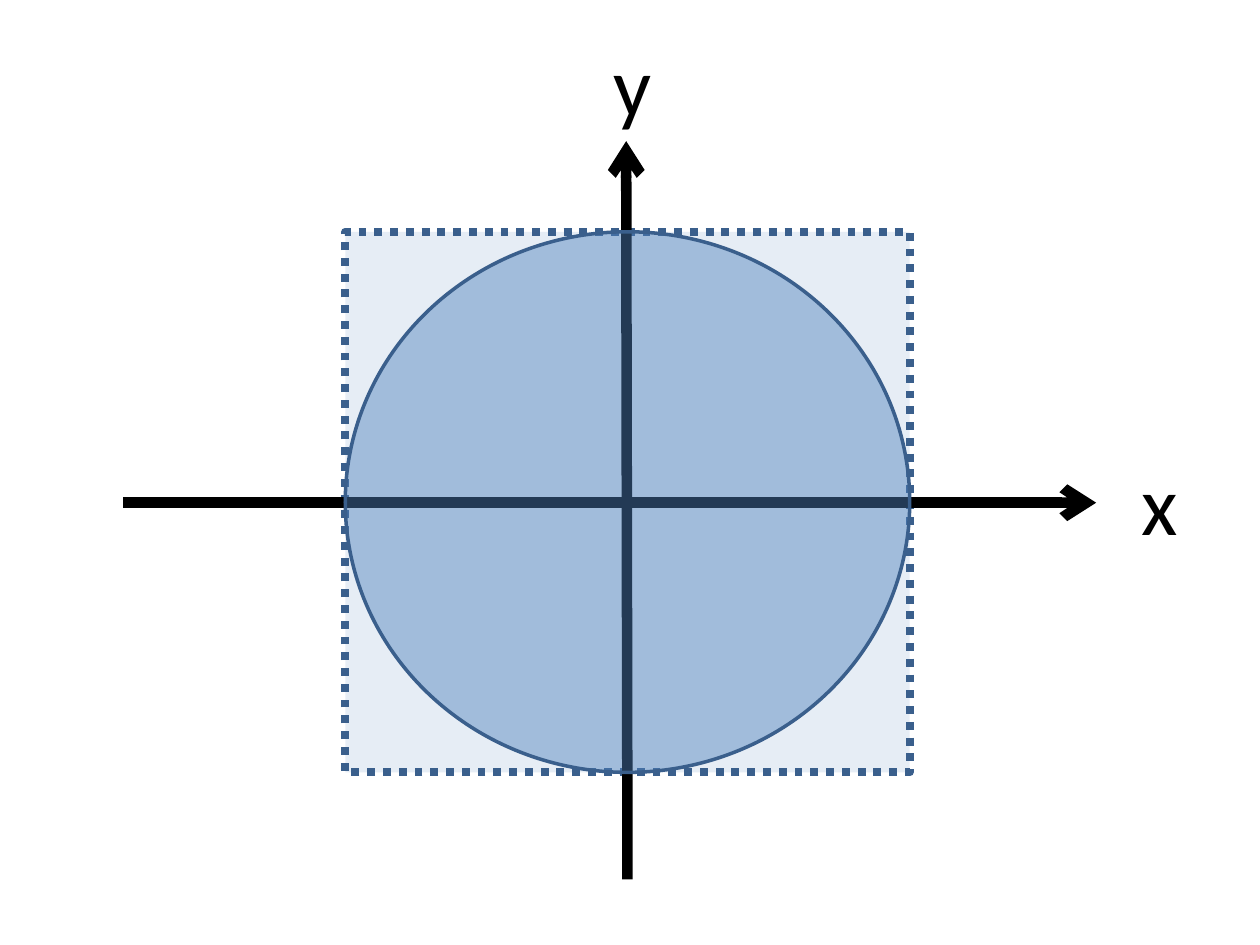
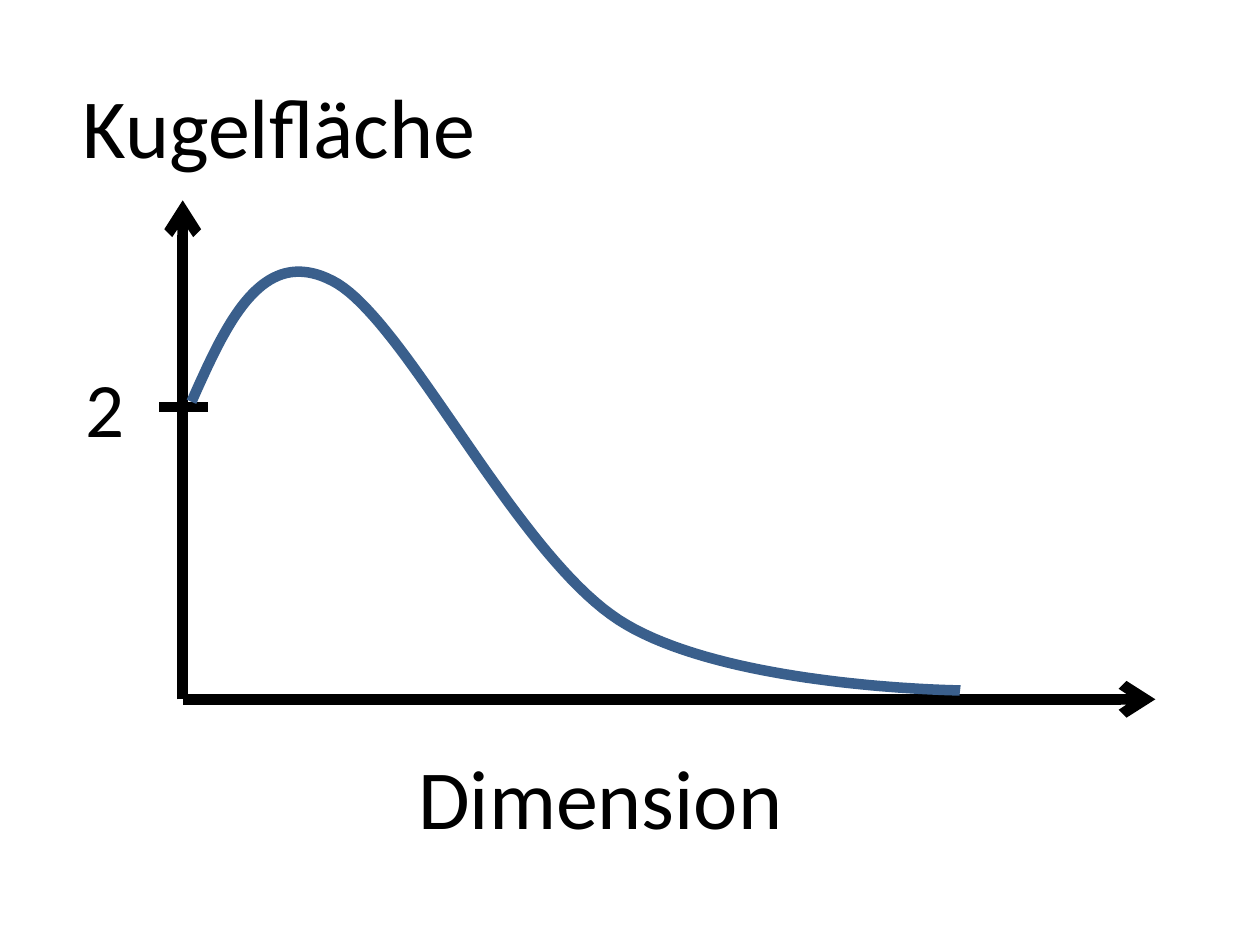
import dataclasses

import lxml.etree
import pptx
import pptx.dml.color
import pptx.enum.dml
import pptx.enum.shapes
import pptx.enum.text
import pptx.oxml.ns
import pptx.util


@dataclasses.dataclass(frozen=True)
class Theme:
    """Colours, font, type sizes and line widths, in points."""
    ink: str = "000000"
    blue: str = "4F81BD"
    outline: str = "3A5F8C"
    font: str = "Calibri"
    label_size: int = 48
    tick_size: int = 44
    heavy: float = 6
    dotted: float = 4.5
    thin: float = 2


def colour(code):
    """Return the RGB colour for a hex code."""
    return pptx.dml.color.RGBColor.from_string(code)


def add_child(parent, tag, **attributes):
    """Append a drawing element to a parent element."""
    return lxml.etree.SubElement(parent, pptx.oxml.ns.qn(tag), attributes)


def write_text(frame, text, *, font, size, color):
    """Put one formatted run of text into an unwrapped frame."""
    frame.word_wrap = False
    frame.auto_size = pptx.enum.text.MSO_AUTO_SIZE.SHAPE_TO_FIT_TEXT
    run = frame.paragraphs[0].add_run()
    run.text = text
    run.font.name = font
    run.font.size = pptx.util.Pt(size)
    run.font.color.rgb = colour(color)


def bezier_points(start, segments, steps=40):
    """Sample a chain of cubic curves at equal parameter steps."""
    points = [start]
    for first, second, end in segments:
        for step in range(1, steps + 1):
            t = step / steps
            weights = ((1 - t) ** 3, 3 * t * (1 - t) ** 2, 3 * t ** 2 * (1 - t), t ** 3)
            controls = (start, first, second, end)
            points.append(tuple(sum(weight * control[axis] for weight, control in zip(weights, controls))
                                for axis in (0, 1)))
        start = end
    return points


class Sketch:
    """Draws on the current slide, with lengths in percent of the slide's size."""

    def __init__(self, theme):
        """Open a presentation with the given theme."""
        self.theme = theme
        self.presentation = pptx.Presentation()
        self.presentation.slide_width = pptx.util.Inches(10)
        self.presentation.slide_height = pptx.util.Inches(7.5)
        self.slide = None

    def new_slide(self):
        """Start a blank slide."""
        self.slide = self.presentation.slides.add_slide(self.presentation.slide_layouts[6])

    def place(self, *shares):
        """Turn alternating horizontal and vertical shares into lengths."""
        sizes = (self.presentation.slide_width, self.presentation.slide_height)
        return [round(share * sizes[index % 2] / 100) for index, share in enumerate(shares)]

    def stroke(self, shape, color, width):
        """Set the line of a shape."""
        shape.line.color.rgb = colour(color)
        shape.line.width = pptx.util.Pt(width)

    def area(self, kind, box, opacity, width, dash=None):
        """Add a translucent blue shape."""
        shape = self.slide.shapes.add_shape(kind, *self.place(*box))
        shape.shadow.inherit = False
        shape.fill.solid()
        shape.fill.fore_color.rgb = colour(self.theme.blue)
        fill_color = shape.element.spPr.find(".//" + pptx.oxml.ns.qn("a:srgbClr"))
        add_child(fill_color, "a:alpha", val=str(opacity * 1000))
        self.stroke(shape, self.theme.outline, width)
        if dash:
            shape.line.dash_style = dash

    def line(self, start, end, arrow=True):
        """Add a heavy straight line, with an arrowhead at its end by default."""
        connector = self.slide.shapes.add_connector(
            pptx.enum.shapes.MSO_CONNECTOR.STRAIGHT, *self.place(*start, *end))
        self.stroke(connector, self.theme.ink, self.theme.heavy)
        properties = connector.element.spPr
        if arrow:
            add_child(properties.find(pptx.oxml.ns.qn("a:ln")), "a:tailEnd", type="arrow")
        add_child(properties, "a:effectLst")

    def label(self, text, box, size=None):
        """Add a one-line label."""
        shape = self.slide.shapes.add_textbox(*self.place(*box))
        write_text(shape.text_frame, text, font=self.theme.font,
                   size=size or self.theme.label_size, color=self.theme.ink)

    def curve(self, start, segments):
        """Add an open smooth curve."""
        points = [self.place(*point) for point in bezier_points(start, segments)]
        builder = self.slide.shapes.build_freeform(*points[0])
        builder.add_line_segments(points[1:], close=False)
        shape = builder.convert_to_shape()
        shape.shadow.inherit = False
        shape.fill.background()
        self.stroke(shape, self.theme.outline, self.theme.heavy)


def draw_circle_in_square(sketch):
    """Draw the unit circle inside its bounding square."""
    theme = sketch.theme
    shapes = pptx.enum.shapes.MSO_SHAPE
    square = (27.4, 24.53, 44.8, 57.2)
    sketch.new_slide()
    sketch.area(shapes.RECTANGLE, square, 14, theme.dotted, pptx.enum.dml.MSO_LINE.ROUND_DOT)
    sketch.line((49.8, 93.07), (49.7, 14.93))
    sketch.label("x", (89.6, 47.07, 4.9, 12.13))
    sketch.line((9.8, 53.2), (87, 53.2))
    sketch.label("y", (47.7, 2.8, 5.1, 12.13))
    sketch.area(shapes.OVAL, square, 45, theme.thin)


def draw_surface_by_dimension(sketch):
    """Draw the sphere's surface as a function of dimension."""
    origin = (14.5, 74)
    tick_height = 43.07
    sketch.new_slide()
    sketch.line(origin, (origin[0], 21.2))
    sketch.label("Dimension", (32.2, 78.27, 31.2, 12.13))
    sketch.line(origin, (91.7, origin[1]))
    sketch.line((16.5, tick_height), (12.6, tick_height), arrow=False)
    sketch.label("2", (5.8, 37.47, 5.1, 11.2), sketch.theme.tick_size)
    sketch.label("Kugelfläche", (5.6, 7.2, 33.5, 12.13))
    sketch.curve((15.2, 42.53), [
        ((18, 34.13), (20.8, 25.87), (26.4, 29.73)),
        ((32.1, 33.6), (40.8, 58.4), (49.1, 65.6)),
        ((57.4, 72.8), (76.2, 73.07), (76.2, 73.07)),
    ])


def main():
    """Build both slides and save them."""
    sketch = Sketch(Theme())
    draw_circle_in_square(sketch)
    draw_surface_by_dimension(sketch)
    sketch.presentation.save("out.pptx")


if __name__ == "__main__":
    main()
